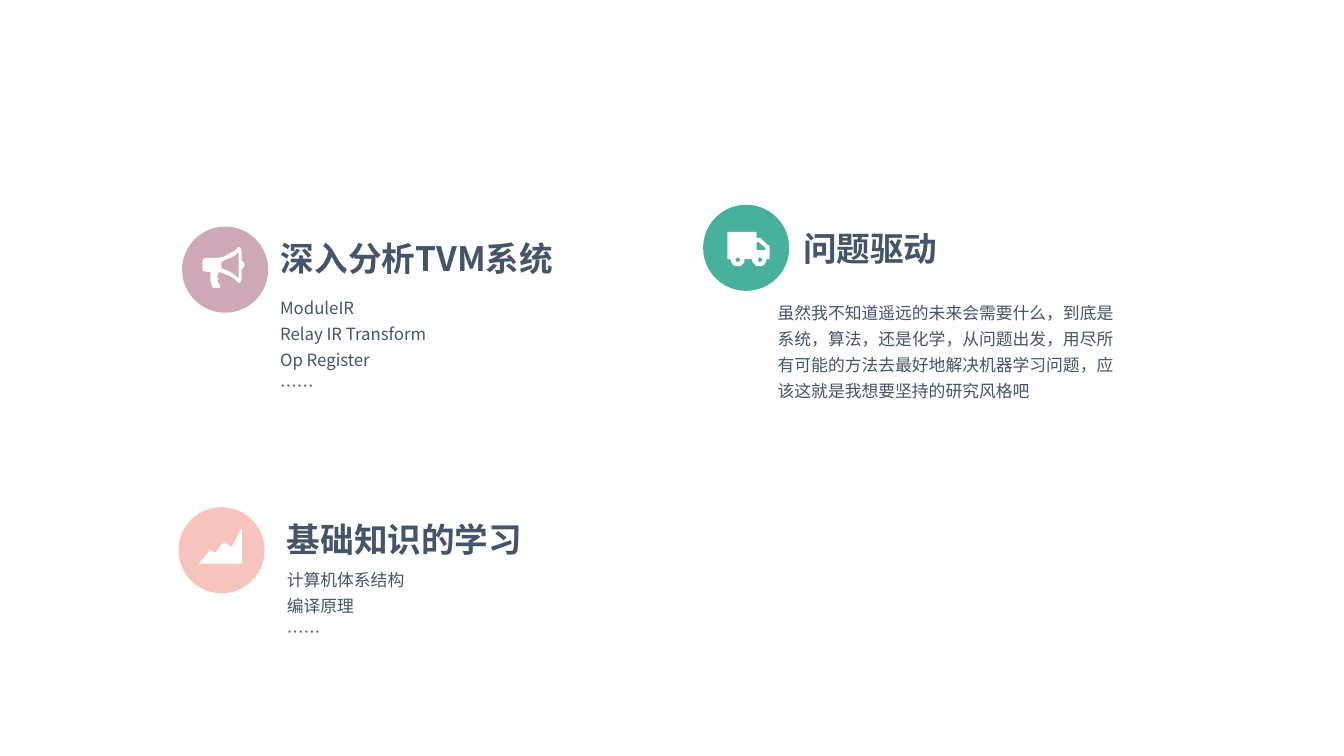
from lxml import etree
from pptx import Presentation
from pptx.dml.color import RGBColor
from pptx.enum import shapes, text
from pptx.oxml import ns
from pptx.util import Cm, Pt

COLORS = {"mauve": "CEA8B6", "pink": "F6C4BC", "green": "47B19D",
          "white": "FFFFFF", "slate": "445469"}
CJK = "Noto Sans CJK SC"
CIRCLE = Cm(2.17)
UNIT = Cm(2.54) / 100  # icon grid step

# Icon outlines on a grid that starts at the circle's top left corner
MEGAPHONE = [
    [(62, 38), (61, 41), (59, 42), (59, 52), (58, 55), (56, 56), (52, 52),
     (47, 49), (42, 47), (37, 45), (35, 48), (35, 50), (36, 52), (35, 54),
     (36, 56), (38, 59), (37, 61), (34, 61), (32, 61), (30, 60), (29, 57),
     (28, 53), (28, 45), (24, 45), (21, 44), (20, 41), (20, 35), (21, 32),
     (24, 31), (35, 31), (41, 30), (46, 27), (52, 24), (56, 20), (58, 21),
     (59, 24), (59, 34), (61, 35)],
    [(56, 25), (52, 29), (48, 31), (43, 33), (39, 35), (39, 41), (43, 43),
     (48, 45), (52, 48), (56, 51)],
]
AREA_CHART = [
    [(63, 22), (62, 22), (53, 39), (51, 39), (46, 35), (44, 35), (37, 45),
     (36, 45), (33, 43), (31, 43), (21, 55), (20, 56), (63, 56)],
]
HUB = [(34, 57), (33, 56), (32, 55), (33, 53), (34, 52), (36, 53), (37, 55), (36, 56)]
TRUCK = [
    [(26, 27), (24, 27), (24, 28), (24, 53), (24, 54), (27, 54), (28, 57),
     (29, 59), (32, 61), (34, 61), (37, 61), (39, 59), (41, 57), (41, 54),
     (48, 54), (49, 57), (51, 59), (53, 61), (56, 61), (58, 61), (61, 59),
     (62, 57), (63, 54), (66, 54), (66, 53), (66, 44), (66, 42), (65, 40),
     (64, 40), (59, 35), (57, 33), (55, 33), (53, 33), (53, 28), (52, 27)],
    [(53, 37), (55, 37), (56, 38), (61, 42), (62, 44), (62, 45), (53, 45)],
    HUB,
    [(x + 22, y) for x, y in HUB],
]


def paint(sp, color):
    sp.shadow.inherit = False
    sp.fill.solid()
    sp.fill.fore_color.rgb = RGBColor.from_string(COLORS[color])
    sp.line.fill.background()


def add_text(s, box, lines, size, font=CJK, bold=False, spacing=None):
    tf = s.shapes.add_textbox(*[Cm(v) for v in box]).text_frame
    tf.word_wrap = True
    tf.auto_size = text.MSO_AUTO_SIZE.SHAPE_TO_FIT_TEXT
    tf.margin_left = tf.margin_right = Cm(0.3)
    tf.margin_top = tf.margin_bottom = Cm(0.15)
    tf.text = "\n".join(lines)
    for p in tf.paragraphs:
        p.line_spacing = spacing
        for r in p.runs:
            r.font.size = Pt(size)
            r.font.bold = bold
            r.font.name = font
            r.font.color.rgb = RGBColor.from_string(COLORS["slate"])
            ea = etree.SubElement(r.font._element, ns.qn("a:ea"))
            ea.set("typeface", CJK)


prs = Presentation()
prs.slide_width, prs.slide_height = Cm(33.87), Cm(19.05)
s = prs.slides.add_slide(prs.slide_layouts[6])

# Round icons
icons = [(4.59, 5.71, "mauve", MEGAPHONE),
         (4.5, 12.78, "pink", AREA_CHART),
         (17.72, 5.16, "green", TRUCK)]
for left, top, color, outlines in icons:
    group = s.shapes.add_group_shape()
    circle = group.shapes.add_shape(shapes.MSO_SHAPE.OVAL, Cm(left), Cm(top), CIRCLE, CIRCLE)
    paint(circle, color)
    builder = group.shapes.build_freeform(*outlines[0][0], scale=UNIT)
    builder.add_line_segments(outlines[0][1:], close=True)
    for hole in outlines[1:]:
        builder.move_to(*hole[0])
        builder.add_line_segments(hole[1:], close=True)
    paint(builder.convert_to_shape(Cm(left), Cm(top)), "white")

# Headings
headings = [((6.78, 5.84, 8.18, 1.35), "深入分析TVM系统"),
            ((6.93, 12.93, 8.59, 1.35), "基础知识的学习"),
            ((19.94, 5.59, 4.6, 1.35), "问题驱动")]
for box, heading in headings:
    add_text(s, box, [heading], 24, bold=True)

# Body text
bodies = [
    ((6.76, 7.19, 9.19, 2.92), CJK, ["ModuleIR", "Relay IR Transform", "Op Register", "……"]),
    ((6.93, 14.05, 9.19, 2.24), CJK, ["计算机体系结构", "编译原理", "……"]),
    ((19.3, 7.32, 9.19, 2.92), "Calibri",
     ["虽然我不知道遥远的未来会需要什么，到底是系统，算法，还是化学，从问题出发，"
      "用尽所有可能的方法去最好地解决机器学习问题，应该这就是我想要坚持的研究风格吧"]),
]
for box, font, lines in bodies:
    add_text(s, box, lines, 12, font=font, spacing=1.3)

prs.save("out.pptx")
